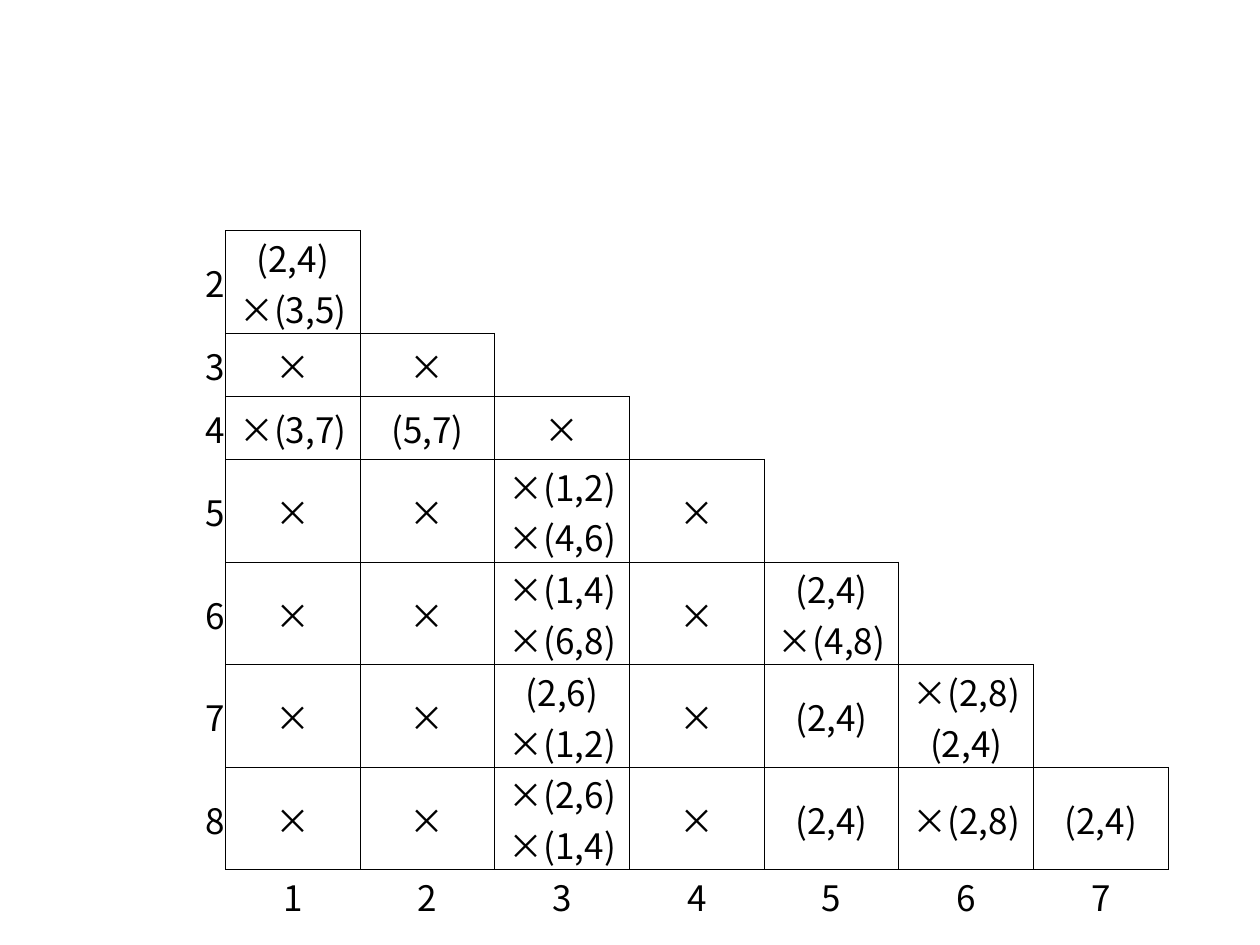
from lxml import etree
from pptx import Presentation
from pptx.dml.color import RGBColor
from pptx.enum.text import MSO_ANCHOR, PP_ALIGN
from pptx.oxml.ns import qn
from pptx.util import Cm, Pt

BLACK = RGBColor(0, 0, 0)
FONT = "Noto Sans CJK JP"
CENTER, RIGHT, MIDDLE = PP_ALIGN.CENTER, PP_ALIGN.RIGHT, MSO_ANCHOR.MIDDLE
CELL_FORMAT = {
    "vertical_anchor": MIDDLE,
    "margin_left": Cm(0.02),
    "margin_right": Cm(0.02),
    "margin_top": Cm(0.02),
    "margin_bottom": Cm(0),
}
FONT_FORMAT = {"name": FONT, "size": Pt(20)}
EDGES = {"a:lnL": (0, -1), "a:lnR": (0, 1), "a:lnT": (-1, 0), "a:lnB": (1, 0)}
PAIRS = [
    ["(2,4)\v×(3,5)"],
    ["×", "×"],
    ["×(3,7)", "(5,7)", "×"],
    ["×", "×", "×(1,2)\v×(4,6)", "×"],
    ["×", "×", "×(1,4)\v×(6,8)", "×", "(2,4)\v×(4,8)"],
    ["×", "×", "(2,6)\v×(1,2)", "×", "(2,4)", "×(2,8)\v(2,4)"],
    ["×", "×", "×(2,6)\v×(1,4)", "×", "(2,4)", "×(2,8)", "(2,4)"],
]
STATES = len(PAIRS) + 1
ROW_HEIGHT, LABEL_HEIGHT = Cm(1.27), Cm(0.99)


def apply(target, values):
    """Set every attribute named in a dict of format values."""
    for name, value in values.items():
        setattr(target, name, value)


def is_boxed(row, column):
    """Tell whether a cell belongs to the staircase of state pairs."""
    return 0 <= row < len(PAIRS) and 1 <= column <= len(PAIRS[row])


def draw_borders(cell, row, column):
    """Line each edge that touches the staircase and clear the others."""
    properties = cell._tc.get_or_add_tcPr()
    for index, (tag, (down, across)) in enumerate(EDGES.items()):
        line = etree.Element(qn(tag), w=str(Pt(0.5)))
        if is_boxed(row, column) or is_boxed(row + down, column + across):
            fill = etree.SubElement(line, qn("a:solidFill"))
            etree.SubElement(fill, qn("a:srgbClr"), val=str(BLACK))
        else:
            etree.SubElement(line, qn("a:noFill"))
        properties.insert(index, line)


def write_text(cell, text, alignment):
    """Write one aligned paragraph in the table font."""
    paragraph = cell.text_frame.paragraphs[0]
    paragraph.text = text
    paragraph.alignment = alignment
    for run in paragraph.runs:
        apply(run.font, FONT_FORMAT)
        run.font.color.rgb = BLACK
        etree.SubElement(run.font._element, qn("a:ea"), typeface=FONT)


def add_implication_table(slide, left, top, width, height):
    """Add the triangular table of state pairs with its row and column labels."""
    shape = slide.shapes.add_table(STATES, STATES, left, top, width, height)
    table = shape.table
    apply(table, {"first_row": False, "horz_banding": False})
    labels = [""] + [str(state) for state in range(1, STATES)]
    rows = [[str(state)] + pairs for state, pairs in enumerate(PAIRS, 2)] + [labels]
    for row, texts in enumerate(rows):
        table.rows[row].height = ROW_HEIGHT if row < len(PAIRS) else LABEL_HEIGHT
        for column in range(STATES):
            cell = table.cell(row, column)
            apply(cell, CELL_FORMAT)
            cell.fill.background()
            draw_borders(cell, row, column)
            if column < len(texts) and texts[column]:
                write_text(cell, texts[column], CENTER if column else RIGHT)
    shape.height = height


presentation = Presentation()
apply(presentation, {"slide_width": Cm(25.4), "slide_height": Cm(19.05)})
slide = presentation.slides.add_slide(presentation.slide_layouts[6])
add_implication_table(slide, Cm(1.83), Cm(4.65), Cm(21.72), Cm(12.17))
presentation.save("out.pptx")
